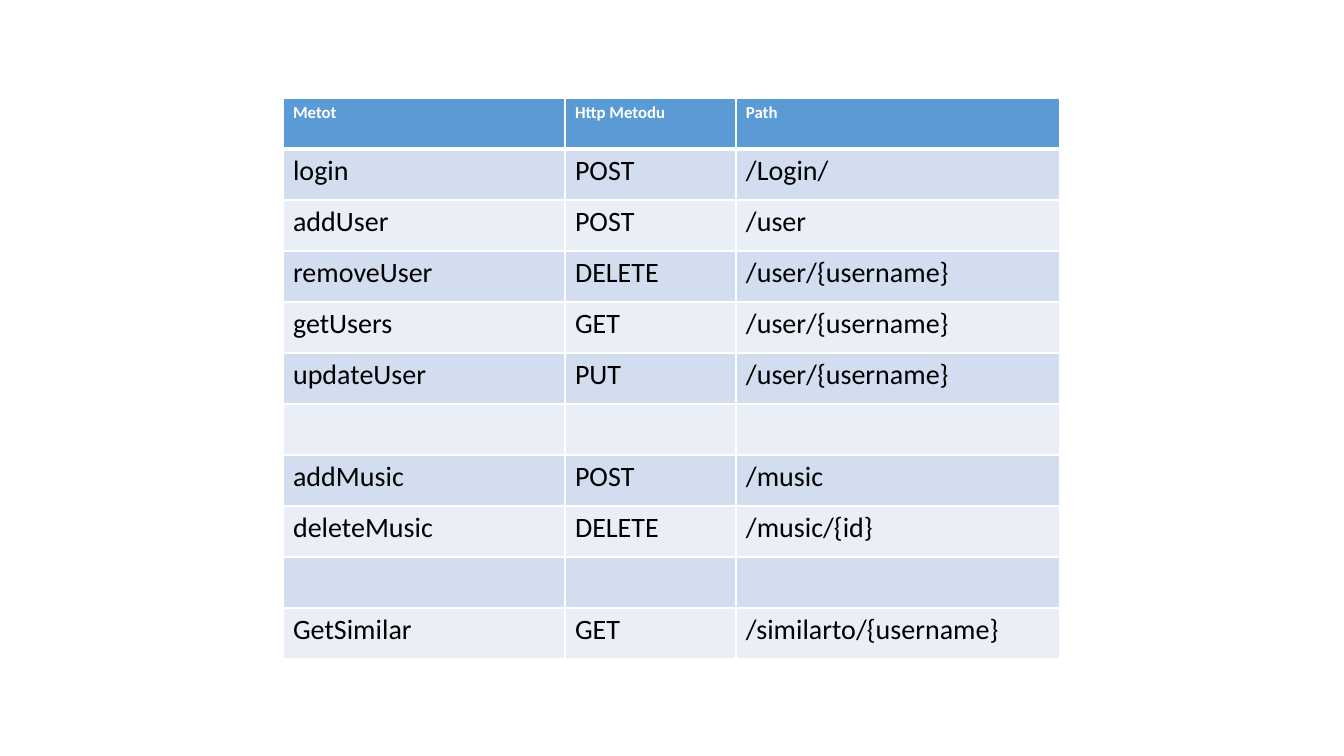
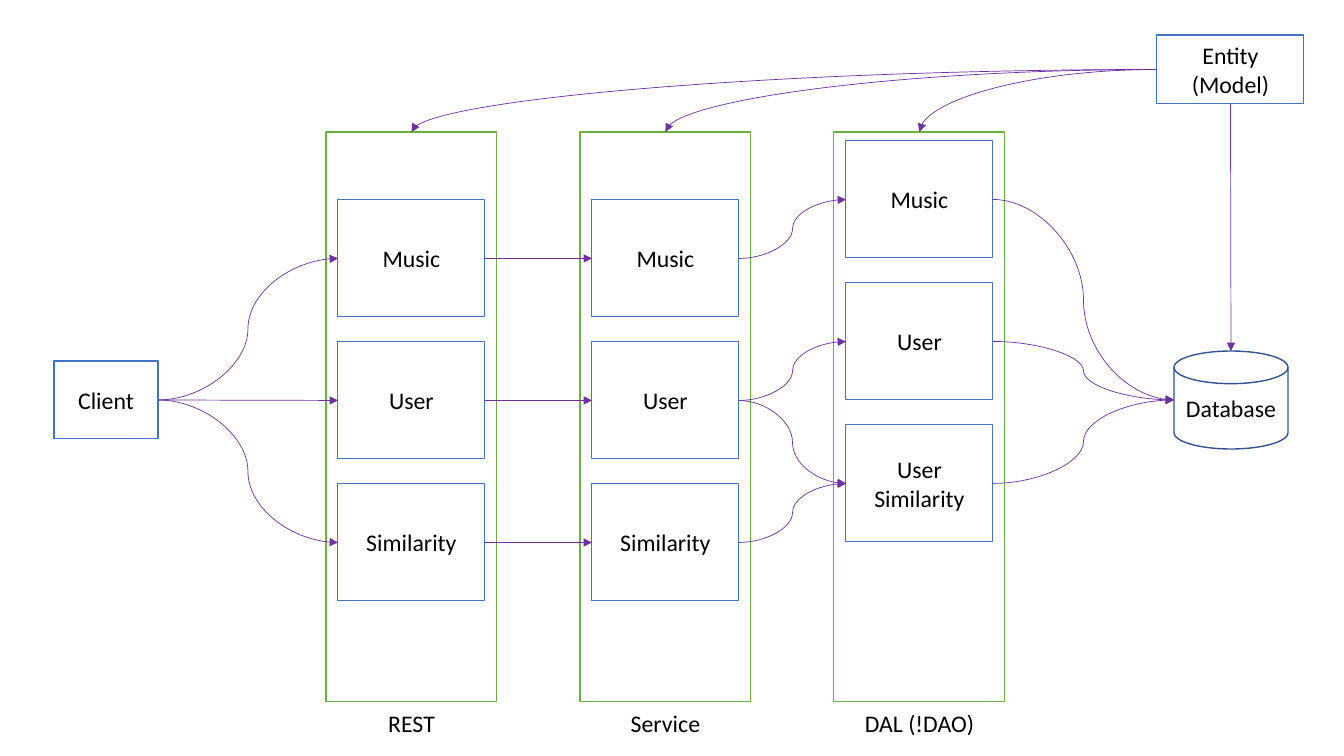
from lxml.etree import SubElement
from pptx import Presentation
from pptx.dml.color import RGBColor
from pptx.enum.shapes import MSO_CONNECTOR as CXN, MSO_SHAPE as SHAPE
from pptx.enum.text import MSO_ANCHOR as ANCHOR, PP_ALIGN as ALIGN
from pptx.oxml.ns import qn
from pptx.util import Inches, Pt

SLIDE_W, SLIDE_H = 1344, 756
PX = Inches(7.5) / SLIDE_H
BLANK = 6
COLORS = {
    "white": "FFFFFF", "black": "000000", "header": "5B9BD5",
    "band_dark": "D2DEEF", "band_light": "EAEFF7", "layer": "70AD47",
    "box": "4472C4", "disk": "325491", "arrow": "7030A0",
}
HEADER_FONT = {"name": "Calibri", "size": Pt(12), "bold": True}
CELL_FONT = {"name": "Calibri", "size": Pt(20), "bold": False}
BOX_FONT = {"name": "Calibri", "size": Pt(17)}

SITES = {
    SHAPE.RECTANGLE: {"top": 0, "left": 1, "bottom": 2, "right": 3},
    SHAPE.FLOWCHART_MAGNETIC_DISK: {"top": 1, "left": 2, "bottom": 3},
}

COL_WIDTHS = (282, 171, 324)
ROW_H = 51
ROWS = [
    ("Metot", "Http Metodu", "Path"),
    ("login", "POST", "/Login/"),
    ("addUser", "POST", "/user"),
    ("removeUser", "DELETE", "/user/{username}"),
    ("getUsers", "GET", "/user/{username}"),
    ("updateUser", "PUT", "/user/{username}"),
    ("", "", ""),
    ("addMusic", "POST", "/music"),
    ("deleteMusic", "DELETE", "/music/{id}"),
    ("", "", ""),
    ("GetSimilar", "GET", "/similarto/{username}"),
]

LAYER_X, LAYER_Y, LAYER_W, LAYER_H, LAYER_STEP = 326, 132, 171, 570, 254
BOX_W, BOX_H, BOX_STEP = 147, 117, 142
LAYERS = [
    ("REST", 200, ("Music", "User", "Similarity")),
    ("Service", 200, ("Music", "User", "Similarity")),
    ("DAL (!DAO)", 141, ("Music", "User", "User\nSimilarity")),
]
SERVICE_TO_DAL = [(0, 0), (1, 1), (1, 2), (2, 2)]


def px(n):
    return round(n * PX)


def rgb(name):
    return RGBColor.from_string(COLORS[name])


def format_font(font, fmt, color):
    for attr, value in fmt.items():
        setattr(font, attr, value)
    font.color.rgb = rgb(color)


def write(tf, text, fmt, color="black", align=ALIGN.LEFT):
    tf.text = text
    for p in tf.paragraphs:
        p.alignment = align
        for r in p.runs:
            format_font(r.font, fmt, color)


def add_border(cell, side, width):
    ln = SubElement(cell._tc.get_or_add_tcPr(), qn(f"a:ln{side}"), w=str(Pt(width)))
    fill = SubElement(ln, qn("a:solidFill"))
    SubElement(fill, qn("a:srgbClr"), val=COLORS["white"])


def format_cell(cell, text, row):
    is_header = row == 0
    for side in "LRTB":
        thick = (is_header and side == "B") or (row == 1 and side == "T")
        add_border(cell, side, 3 if thick else 1)
    band = "header" if is_header else ("band_light", "band_dark")[row % 2]
    cell.fill.solid()
    cell.fill.fore_color.rgb = rgb(band)
    if text:
        fmt, color = (HEADER_FONT, "white") if is_header else (CELL_FONT, "black")
        write(cell.text_frame, text, fmt, color)


def add_grid(slide, x, y):
    table = slide.shapes.add_table(
        len(ROWS), len(COL_WIDTHS), px(x), px(y),
        px(sum(COL_WIDTHS)), px(ROW_H * len(ROWS))).table
    for column, width in zip(table.columns, COL_WIDTHS):
        column.width = px(width)
    for i, texts in enumerate(ROWS):
        table.rows[i].height = px(ROW_H)
        for j, text in enumerate(texts):
            format_cell(table.cell(i, j), text, i)


def add_box(slide, x, y, w, h, text="", line="box", width=0.75, kind=SHAPE.RECTANGLE):
    sp = slide.shapes.add_shape(kind, px(x), px(y), px(w), px(h))
    sp.shadow.inherit = False
    sp.fill.solid()
    sp.fill.fore_color.rgb = rgb("white")
    sp.line.color.rgb = rgb(line)
    sp.line.width = Pt(width)
    if text:
        sp.text_frame.vertical_anchor = ANCHOR.MIDDLE
        write(sp.text_frame, text, BOX_FONT, align=ALIGN.CENTER)
    return sp


def add_label(slide, x, y, w, h, text):
    tf = slide.shapes.add_textbox(px(x), px(y), px(w), px(h)).text_frame
    tf.word_wrap = True
    write(tf, text, BOX_FONT, align=ALIGN.CENTER)


def side_point(sp, side):
    dx, dy = {"top": (1, 0), "left": (0, 1), "bottom": (1, 2), "right": (2, 1)}[side]
    return sp.left + sp.width * dx // 2, sp.top + sp.height * dy // 2


def add_arrow(slide, start, end, sides=("right", "left"), preset=None):
    """Glue an arrow to two shapes, straight where the ends line up."""
    begin, finish = side_point(start, sides[0]), side_point(end, sides[1])
    aligned = any(abs(a - b) <= px(1) for a, b in zip(begin, finish))
    c = slide.shapes.add_connector(CXN.STRAIGHT if aligned else CXN.CURVE, *begin, *finish)
    c.begin_connect(start, SITES[start.auto_shape_type][sides[0]])
    c.end_connect(end, SITES[end.auto_shape_type][sides[1]])
    c.end_x, c.end_y = finish
    c.line.color.rgb = rgb("arrow")
    c.line.width = Pt(0.5)
    spPr = c._element.spPr
    if preset:
        spPr.find(qn("a:prstGeom")).set("prst", preset)
    SubElement(spPr.find(qn("a:ln")), qn("a:tailEnd"), type="triangle")
    SubElement(spPr, qn("a:effectLst"))


def add_layer(slide, index, name, first_y, texts):
    x = LAYER_X + index * LAYER_STEP
    frame = add_box(slide, x, LAYER_Y, LAYER_W, LAYER_H, line="layer")
    box_x = x + (LAYER_W - BOX_W) // 2
    boxes = [add_box(slide, box_x, first_y + i * BOX_STEP, BOX_W, BOX_H, text)
             for i, text in enumerate(texts)]
    add_label(slide, x, LAYER_Y + LAYER_H + 2, LAYER_W, 39, name)
    return frame, boxes


def build_methods(slide):
    add_grid(slide, 283, 98)


def build_architecture(slide):
    layers = [add_layer(slide, i, *layer) for i, layer in enumerate(LAYERS)]
    frames, (rest, service, dal) = zip(*layers)
    client = add_box(slide, 54, 361, 104, 78, "Client")
    database = add_box(slide, 1174, 351, 114, 98, "Database", "disk", 1,
                       SHAPE.FLOWCHART_MAGNETIC_DISK)
    entity = add_box(slide, 1157, 35, BOX_W, 69, "Entity\n(Model)")

    links = [(client, box) for box in rest]
    links += zip(rest, service)
    links += [(service[i], dal[j]) for i, j in SERVICE_TO_DAL]
    links += [(box, database) for box in dal]
    for start, end in links:
        add_arrow(slide, start, end)
    add_arrow(slide, entity, database, ("bottom", "top"))
    for frame in frames:
        add_arrow(slide, entity, frame, ("left", "top"), "curvedConnector2")


def main():
    prs = Presentation()
    prs.slide_width, prs.slide_height = px(SLIDE_W), px(SLIDE_H)
    for build in (build_methods, build_architecture):
        build(prs.slides.add_slide(prs.slide_layouts[BLANK]))
    prs.save("out.pptx")


if __name__ == "__main__":
    main()
